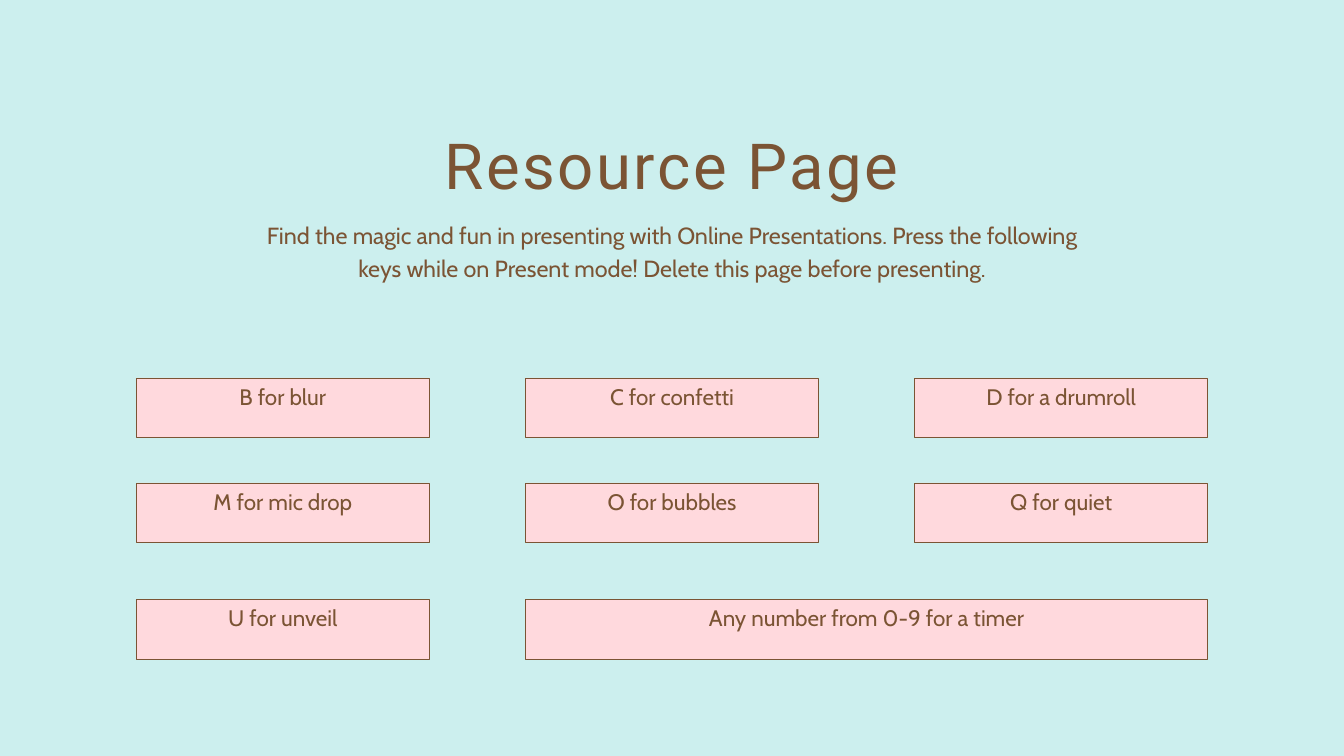
from dataclasses import dataclass
from typing import Any

from lxml.etree import SubElement
from pptx import Presentation
from pptx.dml.color import RGBColor
from pptx.enum.shapes import MSO_SHAPE as Shape
from pptx.enum.text import MSO_ANCHOR as Anchor, MSO_AUTO_SIZE as AutoSize, PP_ALIGN as Align
from pptx.oxml.ns import qn
from pptx.slide import Slide
from pptx.util import Pt


@dataclass(frozen=True)
class Theme:
    background: RGBColor = RGBColor.from_string("CCEFEE")
    card: RGBColor = RGBColor.from_string("FFD9DD")
    ink: RGBColor = RGBColor.from_string("7B5434")
    heading_font: str = "Roboto"
    text_font: str = "Cabin"
    heading_size: float = 68
    intro_size: float = 25
    key_size: float = 24


@dataclass(frozen=True)
class KeyCard:
    label: str
    row: int
    column: int
    span: int = 1


THEME = Theme()

# Card grid, in points
GRID_LEFT, COLUMN_STEP = 146, 417
ROW_TOPS = (405, 517.5, 642.5)
CARD_WIDTH, CARD_HEIGHT = 314, 63.5
LABEL_LIFT = 29  # bottom inset that raises the label in its card

KEY_CARDS = (
    KeyCard("B for blur", 0, 0),
    KeyCard("C for confetti", 0, 1),
    KeyCard("D for a drumroll", 0, 2),
    KeyCard("M for mic drop", 1, 0),
    KeyCard("O for bubbles", 1, 1),
    KeyCard("Q for quiet", 1, 2),
    KeyCard("U for unveil", 2, 0),
    KeyCard("Any number from 0-9 for a timer", 2, 1, span=2),
)


def apply(target: Any, values: dict[str, Any]) -> None:
    for name, value in values.items():
        setattr(target, name, value)


def write(holder: Any, text: str, font: str, size: float, leading: float,
          anchor: Anchor = Anchor.TOP, bottom: float = 0, tracking: float = 0) -> None:
    """Fill a shape or placeholder with one centred paragraph."""
    frame = holder.text_frame
    apply(frame, {
        "word_wrap": True, "auto_size": AutoSize.NONE, "vertical_anchor": anchor,
        "margin_left": 0, "margin_right": 0, "margin_top": 0, "margin_bottom": Pt(bottom),
    })
    paragraph = frame.paragraphs[0]
    properties = paragraph._p.get_or_add_pPr()
    properties.set("marL", "0")
    properties.set("indent", "0")
    SubElement(properties, qn("a:buNone"))
    apply(paragraph, {"alignment": Align.CENTER, "line_spacing": Pt(leading),
                      "space_before": Pt(0)})
    run = paragraph.add_run()
    run.text = text
    apply(run.font, {"name": font, "size": Pt(size)})
    run.font.color.rgb = THEME.ink
    if tracking:
        run._r.get_or_add_rPr().set("spc", str(round(tracking * 100)))


def place(holder: Any, left: float, top: float, width: float, height: float) -> None:
    apply(holder, {"left": Pt(left), "top": Pt(top), "width": Pt(width), "height": Pt(height)})


def draw_card(slide: Slide, card: KeyCard) -> None:
    width = CARD_WIDTH + (card.span - 1) * COLUMN_STEP
    box = slide.shapes.add_shape(
        Shape.RECTANGLE, Pt(GRID_LEFT + card.column * COLUMN_STEP), Pt(ROW_TOPS[card.row]),
        Pt(width), Pt(CARD_HEIGHT))
    box.shadow.inherit = False
    box.fill.solid()
    box.fill.fore_color.rgb = THEME.card
    box.line.color.rgb = THEME.ink
    box.line.width = Pt(0.75)
    write(box, card.label, THEME.text_font, THEME.key_size, 33.6, Anchor.MIDDLE, LABEL_LIFT)


def main() -> None:
    deck = Presentation()
    apply(deck, {"slide_width": Pt(1440), "slide_height": Pt(810)})
    slide = deck.slides.add_slide(deck.slide_layouts[1])
    slide.background.fill.solid()
    slide.background.fill.fore_color.rgb = THEME.background

    # Heading and introduction
    heading, intro = slide.placeholders
    place(heading, 280, 135, 880, 81)
    write(heading, "Resource Page", THEME.heading_font, THEME.heading_size, 81.6, tracking=2.7)
    place(intro, 280, 232, 880, 68)
    write(intro, "Find the magic and fun in presenting with Online Presentations. "
          "Press the following keys while on Present mode! Delete this page before presenting.",
          THEME.text_font, THEME.intro_size, 35)

    # Shortcut keys
    for card in KEY_CARDS:
        draw_card(slide, card)

    deck.save("out.pptx")


if __name__ == "__main__":
    main()
